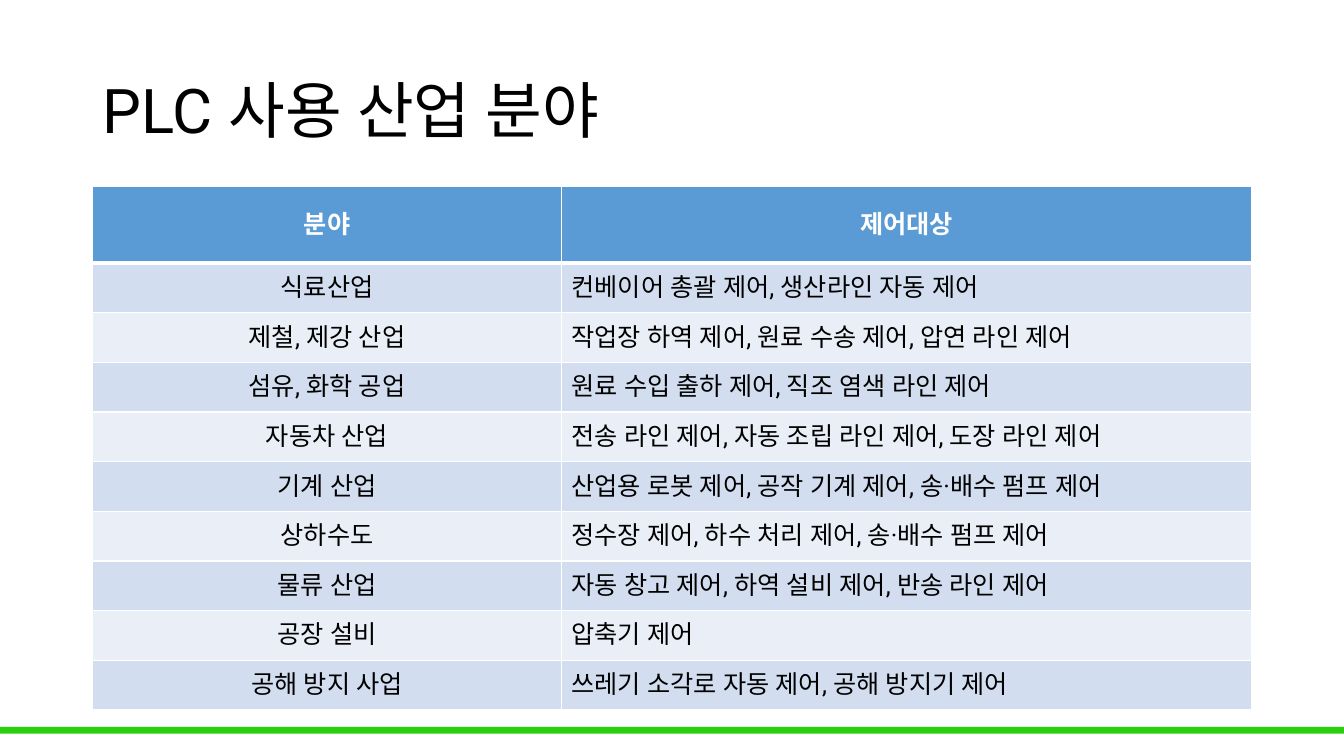
from lxml.etree import SubElement
from pptx import Presentation
from pptx.dml.color import RGBColor
from pptx.enum.shapes import MSO_SHAPE
from pptx.enum.text import MSO_ANCHOR, PP_ALIGN
from pptx.oxml.ns import qn
from pptx.util import Inches, Pt

INDUSTRIES = [
    ("분야", "제어대상"),
    ("식료산업", "컨베이어 총괄 제어, 생산라인 자동 제어"),
    ("제철, 제강 산업", "작업장 하역 제어, 원료 수송 제어, 압연 라인 제어"),
    ("섬유, 화학 공업", "원료 수입 출하 제어, 직조 염색 라인 제어"),
    ("자동차 산업", "전송 라인 제어, 자동 조립 라인 제어, 도장 라인 제어"),
    ("기계 산업", "산업용 로봇 제어, 공작 기계 제어, 송·배수 펌프 제어"),
    ("상하수도", "정수장 제어, 하수 처리 제어, 송·배수 펌프 제어"),
    ("물류 산업", "자동 창고 제어, 하역 설비 제어, 반송 라인 제어"),
    ("공장 설비", "압축기 제어"),
    ("공해 방지 사업", "쓰레기 소각로 자동 제어, 공해 방지기 제어"),
]


def color(value):
    return RGBColor.from_string(value)


class SlideBuilder:
    """Places elements by percentages of the slide's width and height."""

    font_name = "Roboto"
    black, white, green = "000000", "FFFFFF", "29D10D"
    header_fill, band_fills = "5B9BD5", ("D2DEEF", "EAEFF7")

    def __init__(self, presentation):
        self.width = presentation.slide_width
        self.height = presentation.slide_height
        self.slide = presentation.slides.add_slide(presentation.slide_layouts[5])

    def across(self, percent):
        return round(self.width * percent / 100)

    def down(self, percent):
        return round(self.height * percent / 100)

    def box(self, left, top, width, height):
        return (self.across(left), self.down(top),
                self.across(width), self.down(height))

    def add_text(self, frame, text, text_color, alignment, **font_format):
        paragraph = frame.paragraphs[0]
        paragraph.alignment = alignment
        run = paragraph.add_run()
        run.text = text
        run.font.color.rgb = color(text_color)
        for name, value in {"name": self.font_name, **font_format}.items():
            setattr(run.font, name, value)
        # Korean glyphs follow the East Asian typeface
        SubElement(run._r.get_or_add_rPr(), qn("a:ea"), typeface=self.font_name)
        return paragraph

    def title(self, text, *area):
        shape = self.slide.shapes.title
        shape.left, shape.top, shape.width, shape.height = self.box(*area)
        shape.text_frame.vertical_anchor = MSO_ANCHOR.MIDDLE
        paragraph = self.add_text(shape.text_frame, text, self.black,
                                  PP_ALIGN.LEFT, size=Pt(44))
        paragraph.line_spacing = 0.9

    def bar(self, *area):
        shape = self.slide.shapes.add_shape(MSO_SHAPE.RECTANGLE, *self.box(*area))
        shape.shadow.inherit = False
        shape.fill.solid()
        shape.fill.fore_color.rgb = color(self.green)
        shape.line.fill.background()

    def borders(self, cell, **points):
        properties = cell._tc.get_or_add_tcPr()
        for side, width in points.items():
            line = SubElement(properties, qn(f"a:ln{side}"), w=str(Pt(width)))
            fill = SubElement(line, qn("a:solidFill"))
            SubElement(fill, qn("a:srgbClr"), val=self.white)

    def table(self, rows, left, top, column_widths, header_height, row_height):
        height = header_height + row_height * (len(rows) - 1)
        area = self.box(left, top, sum(column_widths), height)
        table = self.slide.shapes.add_table(len(rows), len(column_widths), *area).table
        for column, width in zip(table.columns, column_widths):
            column.width = self.across(width)
        for index, texts in enumerate(rows):
            header = index == 0
            table.rows[index].height = self.down(header_height if header else row_height)
            fill = self.header_fill if header else self.band_fills[(index - 1) % 2]
            for position, text in enumerate(texts):
                cell = table.cell(index, position)
                self.borders(cell, L=1, R=1, T=3 if index == 1 else 1,
                             B=3 if header else 1)
                cell.fill.solid()
                cell.fill.fore_color.rgb = color(fill)
                cell.vertical_anchor = MSO_ANCHOR.MIDDLE
                centred = header or position == 0
                self.add_text(cell.text_frame, text,
                              self.white if header else self.black,
                              PP_ALIGN.CENTER if centred else PP_ALIGN.LEFT,
                              size=Pt(18), bold=header)


def main():
    presentation = Presentation()
    presentation.slide_width = Inches(13.33)
    presentation.slide_height = Inches(7.5)
    builder = SlideBuilder(presentation)

    # Green strip along the foot
    builder.bar(0, 96.13, 100, 0.93)

    # Heading
    builder.title("PLC 사용 산업 분야", 6.9, 5.33, 86.25, 19.33)

    # Industries and what is controlled in each
    builder.table(INDUSTRIES, 6.9, 24.67, column_widths=(34.87, 51.38),
                  header_height=10.13, row_height=6.57)

    presentation.save("out.pptx")


if __name__ == "__main__":
    main()
